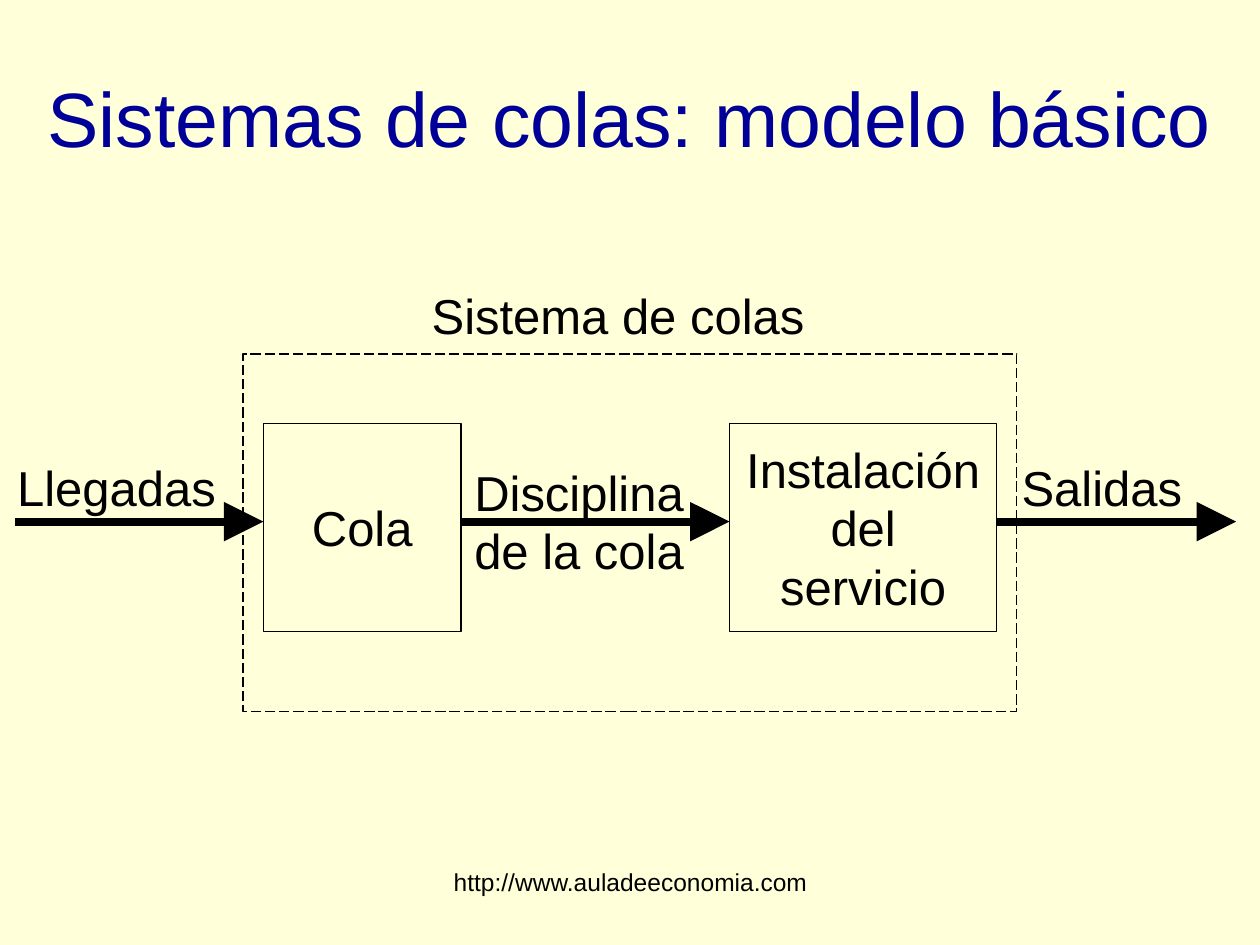
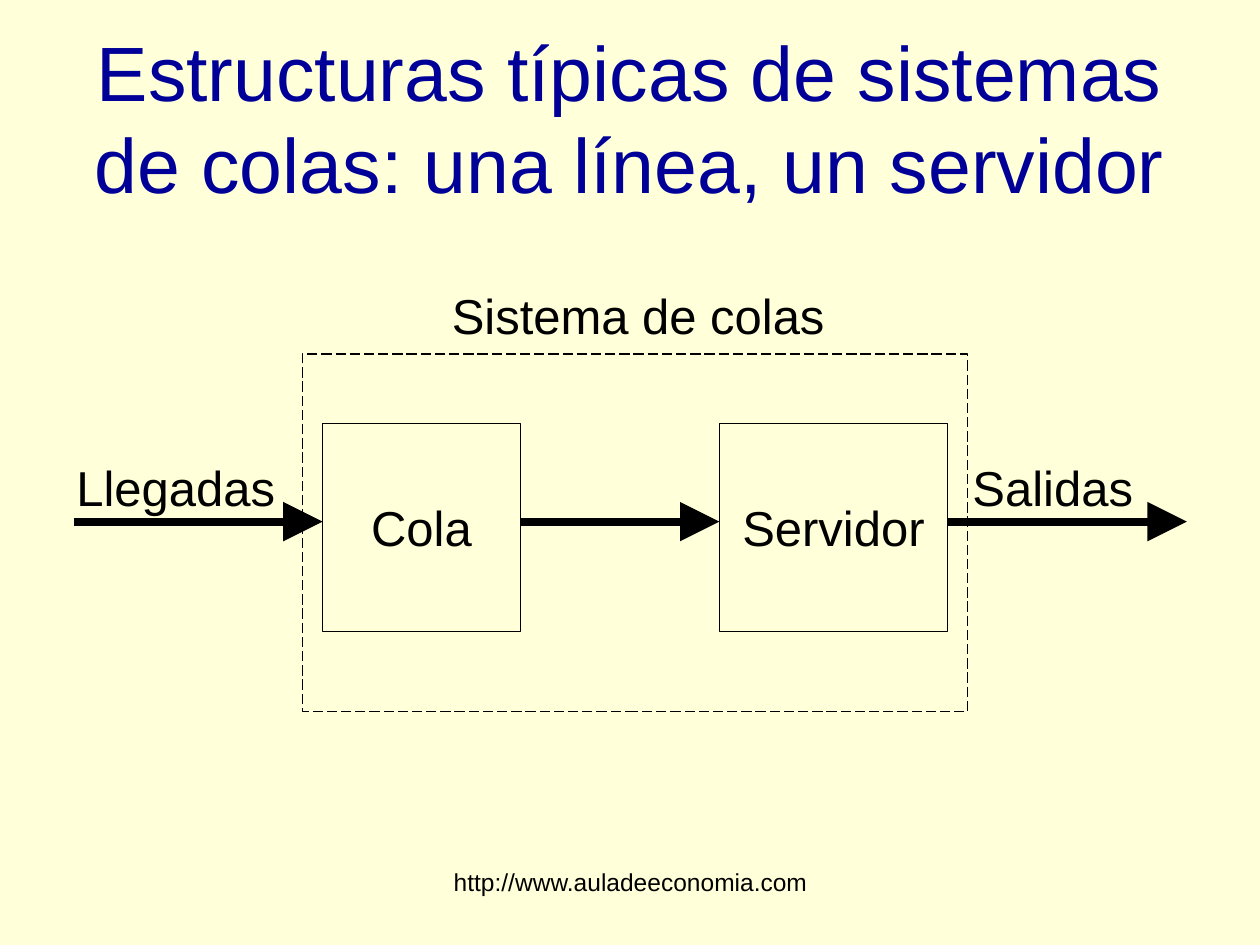
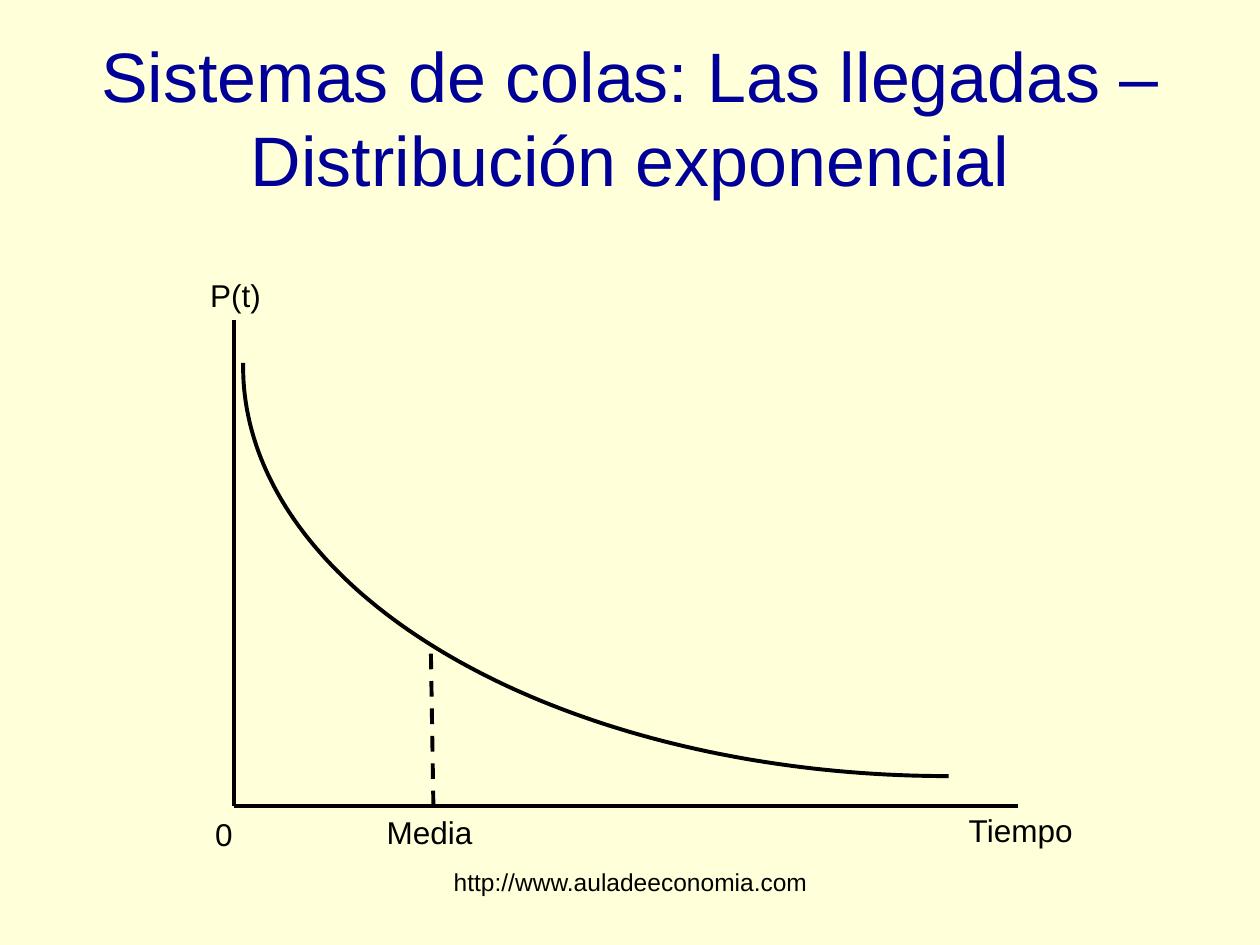
"""Build three slides on queueing systems: two flow diagrams and one curve."""
from dataclasses import dataclass
from math import cos, radians, sin

from lxml.etree import SubElement
from pptx import Presentation
from pptx.dml.color import RGBColor
from pptx.enum.dml import MSO_LINE
from pptx.enum.shapes import MSO_CONNECTOR, MSO_SHAPE
from pptx.enum.text import MSO_ANCHOR, MSO_AUTO_SIZE, PP_ALIGN
from pptx.oxml.ns import qn
from pptx.util import Pt

PX = 9144
SLIDE_WIDTH, SLIDE_HEIGHT = 1000, 750
FLOW_Y = 414
STATION_TOP, STATION_HEIGHT = 336, 165
QUEUE_WIDTH = 157


@dataclass(frozen=True)
class Theme:
    """Colours, font, type sizes and line widths of the deck."""
    paper: RGBColor = RGBColor(0xFF, 0xFF, 0xD9)
    ink: RGBColor = RGBColor(0, 0, 0)
    heading: RGBColor = RGBColor(0, 0, 0x99)
    font: str = "Arial"
    title: int = 44
    long_title: int = 40
    label: int = 28
    axis_label: int = 18
    footer: int = 14
    thin: float = 0.75
    axis: float = 2.25
    flow: float = 4.5


THEME = Theme()


def px(*lengths):
    """Turn px lengths into EMU."""
    return [round(length * PX) for length in lengths]


def write(frame, text, size, color=THEME.ink, align=PP_ALIGN.CENTER,
          anchor=MSO_ANCHOR.TOP, wrap=True):
    """Fill a text frame, one paragraph per line of text."""
    frame.word_wrap = wrap
    if not wrap:
        frame.auto_size = MSO_AUTO_SIZE.SHAPE_TO_FIT_TEXT
    frame.vertical_anchor = anchor
    frame.text = text
    for paragraph in frame.paragraphs:
        paragraph.alignment = align
        paragraph.font.name = THEME.font
        paragraph.font.size = Pt(size)
        paragraph.font.color.rgb = color


def add_label(slide, text, left, top, width, height, size, **style):
    """Add a text box."""
    box = slide.shapes.add_textbox(*px(left, top, width, height))
    write(box.text_frame, text, size, **style)


def style_line(line, width, dash=None):
    """Draw a line in ink, dashed if asked."""
    line.color.rgb = THEME.ink
    line.width = Pt(width)
    if dash is not None:
        line.dash_style = dash


def add_box(slide, left, top, width, height, dash=None):
    """Add an unfilled rectangle and return it."""
    box = slide.shapes.add_shape(MSO_SHAPE.RECTANGLE, *px(left, top, width, height))
    box.shadow.inherit = False
    box.fill.background()
    style_line(box.line, THEME.thin, dash)
    return box


def add_station(slide, text, left, width):
    """Add a labelled box that the flow passes through."""
    station = add_box(slide, left, STATION_TOP, width, STATION_HEIGHT)
    write(station.text_frame, text, THEME.label, anchor=MSO_ANCHOR.MIDDLE)


def add_line(slide, start, end, width, dash=None, arrow=False):
    """Add a straight line between two points, with an optional arrowhead."""
    connector = slide.shapes.add_connector(
        MSO_CONNECTOR.STRAIGHT, *px(*start, *end))
    style_line(connector.line, width, dash)
    properties = connector.element.spPr
    if arrow:
        SubElement(properties.find(qn("a:ln")), qn("a:tailEnd"),
                   type="triangle", w="lg", len="lg")
    SubElement(properties, qn("a:effectLst"))


def add_flow(slide, start, end):
    """Add a thick arrow along the flow axis."""
    add_line(slide, (start, FLOW_Y), (end, FLOW_Y), THEME.flow, arrow=True)


def add_decay_curve(slide, center_x, center_y, radius_x, radius_y, top):
    """Add a falling quarter ellipse that ends in a short upright."""
    points = [px(center_x + radius_x * cos(radians(angle)),
                 center_y + radius_y * sin(radians(angle)))
              for angle in range(90, 181)]
    points.append(px(center_x - radius_x, top))
    builder = slide.shapes.build_freeform(*points[0])
    builder.add_line_segments(points[1:], close=False)
    curve = builder.convert_to_shape()
    curve.shadow.inherit = False
    curve.fill.background()
    style_line(curve.line, THEME.axis)


def add_page(deck, title, size=THEME.title, margin=50):
    """Add a blank slide with its title and footer."""
    slide = deck.slides.add_slide(deck.slide_layouts[6])
    add_label(slide, "http://www.auladeeconomia.com", 342, 683, 317, 52, THEME.footer)
    add_label(slide, title, margin, 30, SLIDE_WIDTH - 2 * margin, 125, size,
              color=THEME.heading, anchor=MSO_ANCHOR.MIDDLE)
    return slide


def add_queue_system(slide, queue_left, server, server_left, server_width, caption_left):
    """Draw arrivals, queue, server and departures inside a dashed frame."""
    queue_right = queue_left + QUEUE_WIDTH
    server_right = server_left + server_width
    arrivals_left = queue_left - 197
    frame_left = queue_left - 16

    add_box(slide, frame_left, 281, server_right + 16 - frame_left, 284,
            MSO_LINE.LONG_DASH)
    add_station(slide, "Cola", queue_left, QUEUE_WIDTH)
    add_station(slide, server, server_left, server_width)
    add_flow(slide, arrivals_left, queue_left)
    add_flow(slide, queue_right, server_left)
    add_flow(slide, server_right, server_right + 190)
    for text, left, top, width in (
            ("Sistema de colas", caption_left, 222, 321),
            ("Llegadas", arrivals_left - 11, 358, 183),
            ("Salidas", server_right + 7, 358, 153)):
        add_label(slide, text, left, top, width, 57, THEME.label, wrap=False)


def add_basic_model(deck):
    """Add the basic model slide."""
    slide = add_page(deck, "Sistemas de colas: modelo básico", margin=0)
    add_queue_system(slide, 209, "Instalación del servicio", 579, 212, 330)
    add_label(slide, "Disciplina\nde la cola", 364, 342, 191, 143, THEME.label,
              anchor=MSO_ANCHOR.MIDDLE)


def add_single_server(deck):
    """Add the slide on one line with one server."""
    slide = add_page(
        deck, "Estructuras típicas de sistemas de colas: una línea, un servidor")
    add_queue_system(slide, 256, "Servidor", 571, 181, 346)


def add_exponential(deck):
    """Add the slide on exponential arrivals."""
    slide = add_page(
        deck, "Sistemas de colas: Las llegadas – Distribución exponencial",
        THEME.long_title)
    origin = (186, 640)
    add_line(slide, (186, 254), origin, THEME.axis)
    add_line(slide, origin, (808, 640), THEME.axis)
    add_decay_curve(slide, 753, 291, 560, 325, 288)
    add_line(slide, (344, 640), (342, 517), THEME.axis, MSO_LINE.DASH)
    for text, left, top, width in (
            ("Media", 297, 640, 88), ("Tiempo", 759, 639, 103),
            ("0", 161, 642, 34), ("P(t)", 157, 214, 60)):
        add_label(slide, text, left, top, width, 40, THEME.axis_label,
                  align=PP_ALIGN.LEFT, wrap=False)


def main():
    """Build and save the deck."""
    deck = Presentation()
    deck.slide_width, deck.slide_height = px(SLIDE_WIDTH, SLIDE_HEIGHT)
    paper = deck.slide_master.background.fill
    paper.solid()
    paper.fore_color.rgb = THEME.paper
    add_basic_model(deck)
    add_single_server(deck)
    add_exponential(deck)
    deck.save("out.pptx")


if __name__ == "__main__":
    main()
